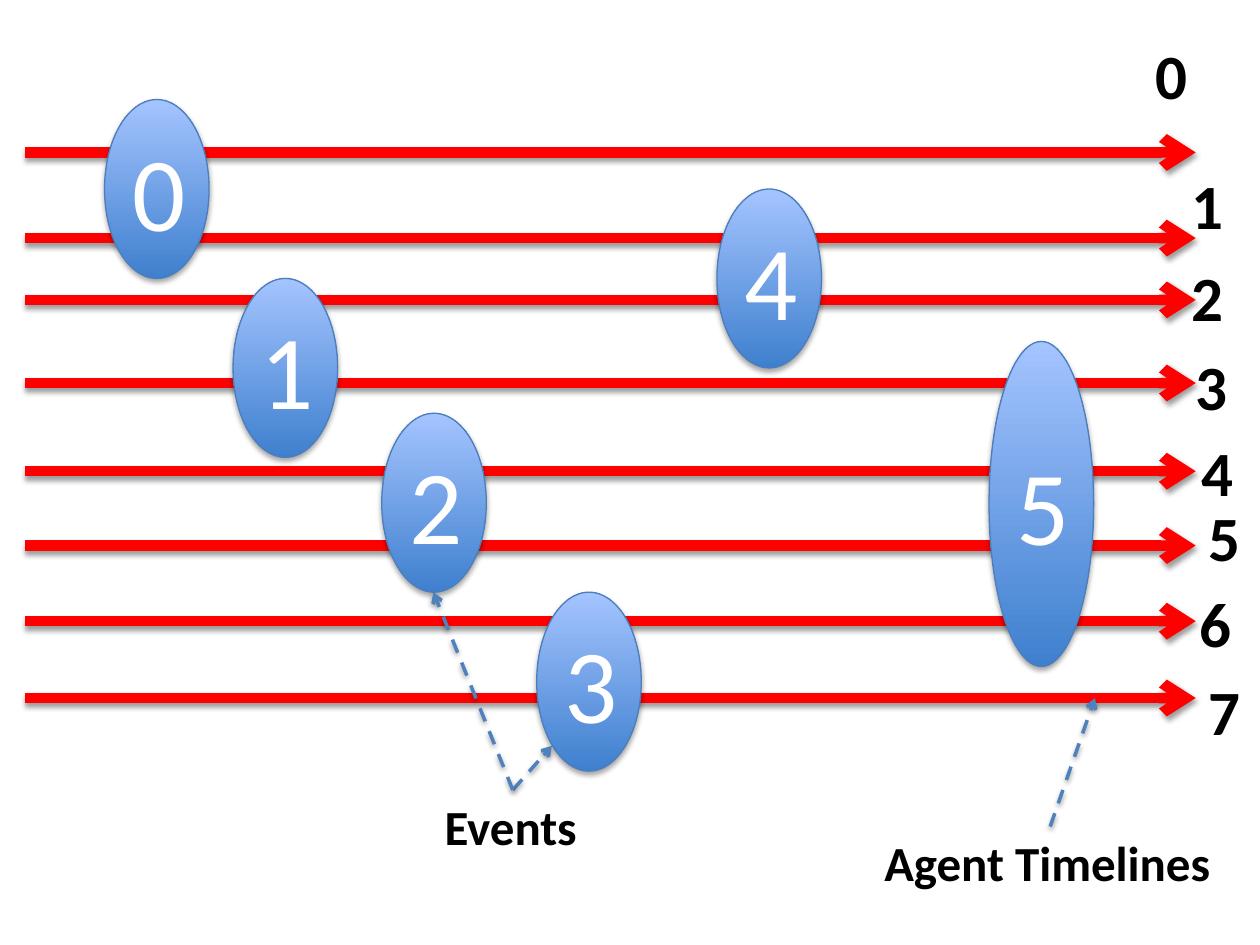
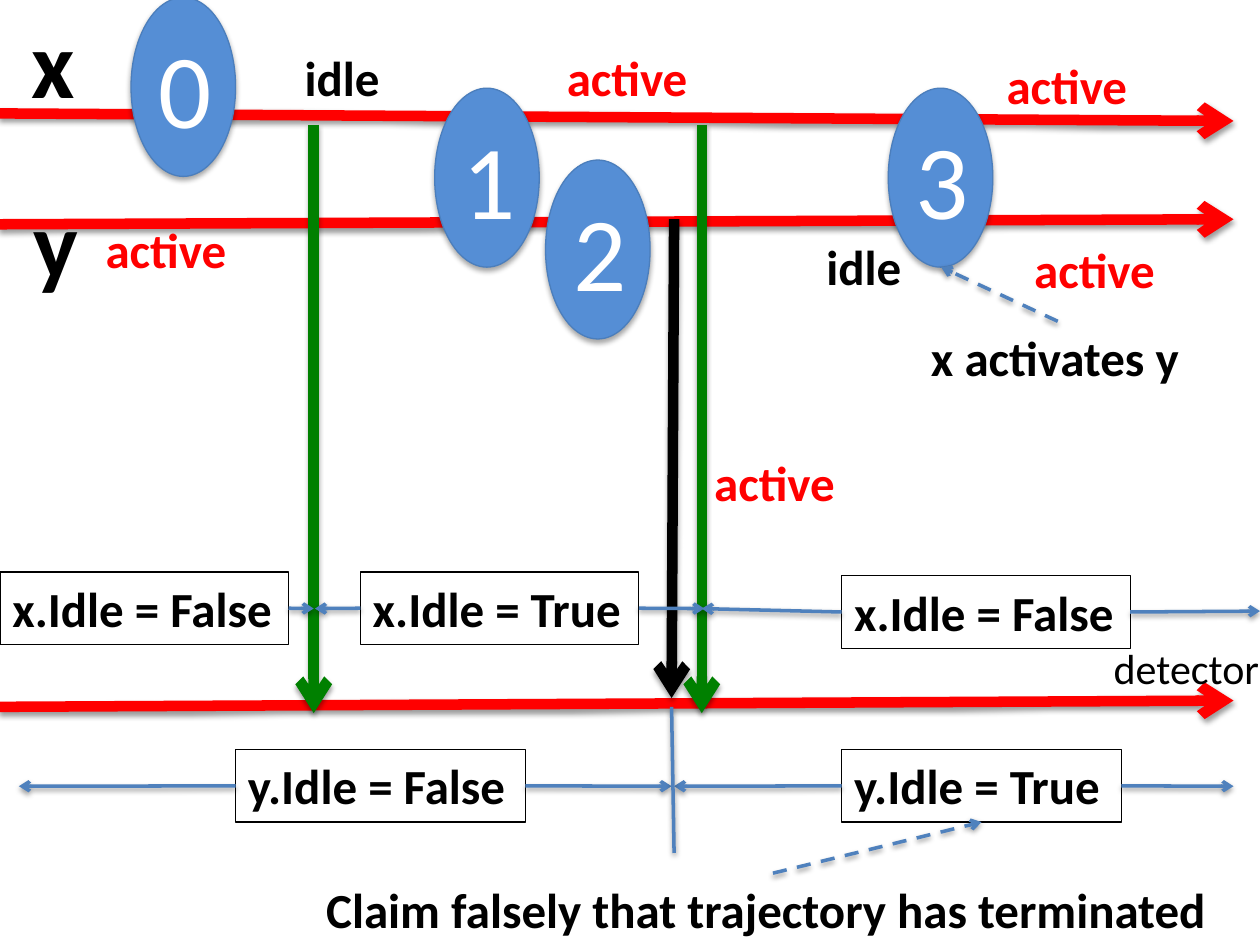
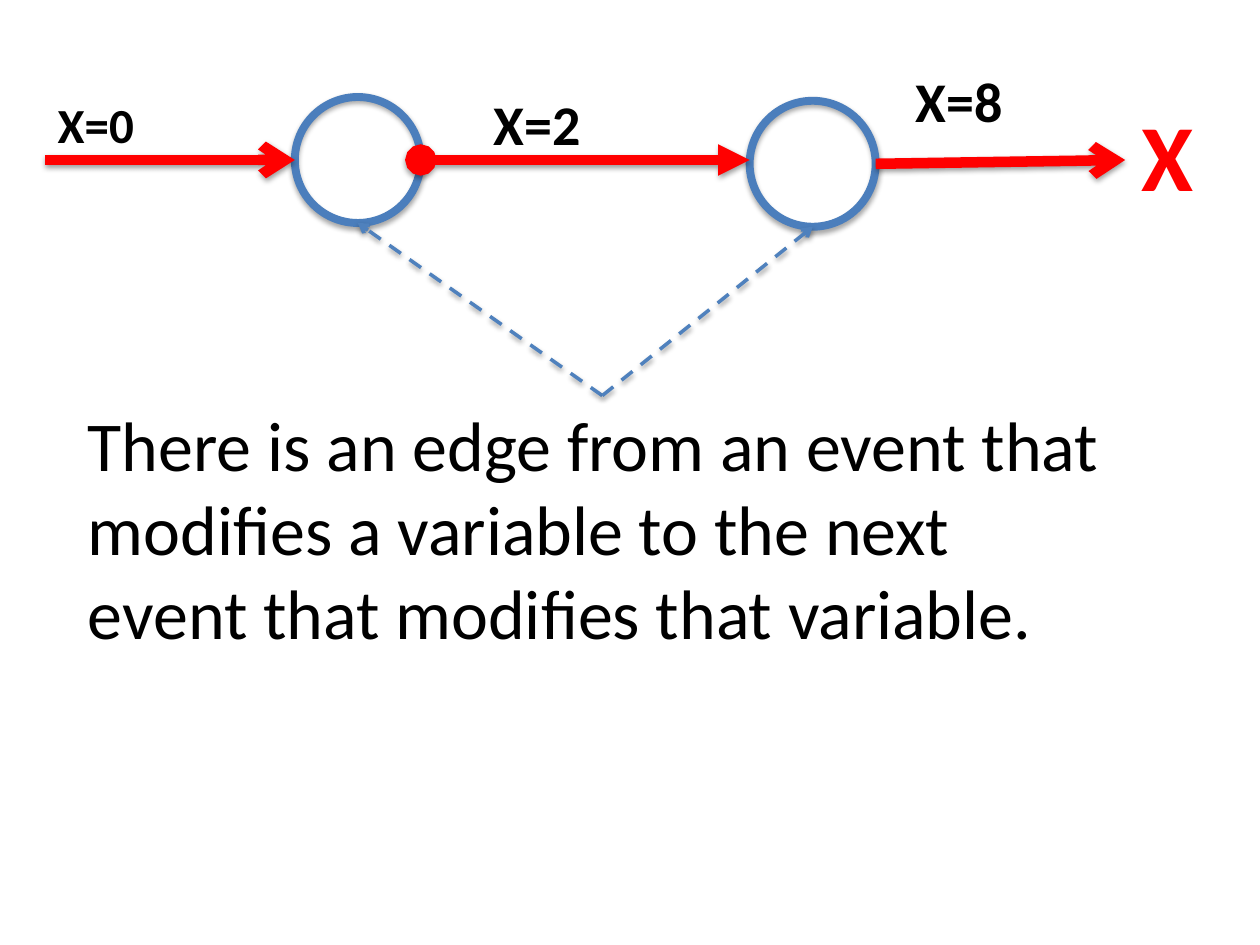
from lxml import etree
from pptx import Presentation
from pptx.dml.color import RGBColor
from pptx.enum import dml, shapes, text
from pptx.oxml.ns import qn
from pptx.util import Inches, Pt

HUE = {"red": "FF0000", "black": "000000", "green": "008000", "white": "FFFFFF",
       "blue": "4F81BD", "rim": "4B7EBC", "flat": "558ED5",
       "deep": "3F80CE", "pale": "A4C4FF"}
FONT = "Calibri"
TOP, LEFT, BOTTOM, RIGHT = range(4)


def rgb(name):
    return RGBColor.from_string(HUE[name])


def shade(item, alpha, dist):
    """Add a soft shadow that falls straight down."""
    fx = etree.SubElement(item.element.spPr, qn("a:effectLst"))
    cast = etree.SubElement(fx, qn("a:outerShdw"), blurRad=str(Pt(3.1)),
                            dist=str(Pt(dist)), dir="5400000", rotWithShape="0")
    tint = etree.SubElement(cast, qn("a:srgbClr"), val=HUE["black"])
    etree.SubElement(tint, qn("a:alpha"), val=str(alpha * 1000))


class Deck:
    def __init__(self):
        self.prs = Presentation()
        self.prs.slide_width, self.prs.slide_height = Inches(10), Inches(7.5)
        self.slide = None

    def page(self):
        self.slide = self.prs.slides.add_slide(self.prs.slide_layouts[6])

    def put(self, frame, words, size, hue, bold):
        run = frame.paragraphs[0].add_run()
        run.text = words
        run.font.name, run.font.size, run.font.bold = FONT, Pt(size), bold
        run.font.color.rgb = rgb(hue)

    def label(self, words, x, y, wide, size=28, hue="black", bold=True, high=None):
        """Add a text box one line high; a given height makes it wrap."""
        tall = high or size * 1.22 / 72 + 0.1
        box = self.slide.shapes.add_textbox(*map(Inches, (x, y, wide, tall)))
        box.text_frame.word_wrap = high is not None
        box.text_frame.auto_size = text.MSO_AUTO_SIZE.SHAPE_TO_FIT_TEXT
        self.put(box.text_frame, words, size, hue, bold)
        return box

    def framed(self, words, x, y, wide):
        box = self.label(words, x, y, wide)
        box.line.color.rgb, box.line.width = rgb("black"), Pt(0.75)
        return box

    def oval(self, x, y, wide=0.83, high=1.42, fill=None, rim=0.75, words=""):
        """Add an event; fill is a colour, a (bottom, top) pair or None."""
        item = self.slide.shapes.add_shape(
            shapes.MSO_SHAPE.OVAL, *map(Inches, (x, y, wide, high)))
        if fill is None:
            item.fill.background()
        elif isinstance(fill, tuple):
            item.fill.gradient()
            item.fill.gradient_angle = 90
            for stop, hue in zip(item.fill.gradient_stops, fill):
                stop.color.rgb = rgb(hue)
        else:
            item.fill.solid()
            item.fill.fore_color.rgb = rgb(fill)
        item.line.color.rgb, item.line.width = rgb("rim"), Pt(rim)
        shade(item, 35, 1.8)
        if words:
            frame = item.text_frame
            frame.vertical_anchor = text.MSO_ANCHOR.MIDDLE
            frame.paragraphs[0].alignment = text.PP_ALIGN.CENTER
            self.put(frame, words, 60, "white", False)

    def line(self, start, end, hue="blue", wide=2, dash=False, head=None, tail="arrow"):
        """Draw a connector; each end is (x, y) or (box, side)."""
        ends = [(0, 0) if hasattr(e[0], "shape_id") else e for e in (start, end)]
        item = self.slide.shapes.add_connector(
            shapes.MSO_CONNECTOR.STRAIGHT, *(Inches(v) for e in ends for v in e))
        if ends[0] is not start:
            item.begin_connect(*start)
        if ends[1] is not end:
            item.end_connect(*end)
        item.line.color.rgb, item.line.width = rgb(hue), Pt(wide)
        if dash:
            item.line.dash_style = dml.MSO_LINE.DASH
        ln = item.element.spPr.find(qn("a:ln"))
        for tag, kind in (("a:headEnd", head), ("a:tailEnd", tail)):
            if kind:
                etree.SubElement(ln, qn(tag), type=kind)
        shade(item, 38, 1.6)

    def bold(self, start, end, hue="red", **more):
        self.line(start, end, hue, 6, **more)

    def hint(self, start, end):
        self.line(start, end, dash=True)


def agents(deck):
    deck.page()
    for y in (1.21, 1.89, 2.38, 3.04, 3.74, 4.33, 4.93, 5.54):
        deck.bold((0.2, y), (9.49, y))
    spots = [(0.83, 0.79), (1.85, 2.21), (3.03, 3.28), (4.26, 4.7),
             (5.69, 1.5), (7.85, 2.71, 0.83, 2.58)]
    for i, spot in enumerate(spots):
        deck.oval(*spot, fill=("deep", "pale"), words=str(i))
    marks = [(9.07, 0.24), (9.36, 1.27), (9.36, 2), (9.39, 2.71),
             (9.44, 3.39), (9.49, 3.91), (9.42, 4.59), (9.49, 5.29)]
    for i, (x, y) in enumerate(marks):
        deck.label(str(i), x, y, 0.46, 36)
    lines = deck.label("Agent Timelines", 6.92, 6.56, 2.83)
    deck.hint((lines, TOP), (8.69, 5.54))
    events = deck.label("Events", 3.43, 6.27, 1.28)
    for tip in ((4.38, 5.92), (3.44, 4.7)):
        deck.hint((events, TOP), tip)


def detector(deck):
    deck.page()
    for left, right in ((1.78, 1.74), (0.9, 0.96), (5.61, 5.56)):
        deck.bold((9.79, right), (0, left), head="arrow", tail=None)
    for i, (x, y) in enumerate([(1.04, -0.02), (3.45, 0.7), (4.33, 1.27), (7.05, 0.7)]):
        deck.oval(x, y, fill="flat", words=str(i))
    for x, y in ((2.32, 0.33), (6.46, 1.83)):
        deck.label("idle", x, y, 0.8)
    for x, y in ((0.74, 1.69), (5.57, 3.54), (4.4, 0.33), (7.89, 0.39), (8.11, 1.85)):
        deck.label("active", x, y, 1.17, hue="red")
    deck.label("x", 0.15, -0.02, 0.55, 54)
    deck.label("y", 0.17, 1.41, 0.56, 54)
    wakes = deck.label("x activates y", 7.29, 2.55, 2.21)
    deck.hint((wakes, TOP), (7.47, 2.12))

    deck.bold((5.35, 1.74), (5.33, 5.54), "black")
    for x in (2.49, 5.57):
        deck.bold((x, 0.99), (x, 5.66), "green")

    # Each state box with the tips of its left and right arrows
    spans = [("x.Idle = False", 0, 4.54, 2.29, None, (2.49, 4.83)),
             ("x.Idle = True", 2.86, 4.54, 2.21, (2.5, 4.83), (5.59, 4.83)),
             ("x.Idle = False", 6.68, 4.57, 2.29, (5.57, 4.83), (10, 4.85)),
             ("y.Idle = False", 1.87, 5.95, 2.3, (0.15, 6.24), (5.33, 6.24)),
             ("y.Idle = True", 6.68, 5.95, 2.22, (5.35, 6.24), (9.79, 6.24))]
    for words, x, y, wide, left, right in spans:
        box = deck.framed(words, x, y, wide)
        if left:
            deck.line((box, LEFT), left)
        deck.line((box, RIGHT), right)
    deck.line((5.33, 5.61), (5.35, 6.77), tail=None)
    claim = deck.label("Claim falsely that trajectory has terminated", 2.49, 6.93, 7.29)
    deck.hint((claim, TOP), (box, BOTTOM))
    deck.label("detector", 8.74, 5.05, 1.38, 24, bold=False)


def edges(deck):
    deck.page()
    for x, y in ((2.34, 0.77), (5.95, 0.8)):
        deck.oval(x, y, 1, 1, rim=4.5)
    deck.bold((3.34, 1.27), (5.95, 1.27), head="oval", tail="triangle")
    deck.bold((0.36, 1.27), (2.34, 1.27))
    deck.bold((6.95, 1.3), (8.93, 1.27))
    deck.label("X", 8.96, 0.72, 0.62, 54, "red")
    deck.label("X=0", 0.36, 0.7, 0.81)
    deck.label("X=2", 3.82, 0.66, 0.9, 32)
    deck.label("X=8", 7.17, 0.48, 0.9, 32)
    rule = deck.label("There is an edge from an event that modifies a variable to the "
                      "next event that modifies that variable.",
                      0.6, 3.14, 8.36, 40, bold=False, high=2.12)
    for tip in ((2.84, 1.77), (6.45, 1.8)):
        deck.hint((rule, TOP), tip)


def main():
    deck = Deck()
    for build in (agents, detector, edges):
        build(deck)
    deck.prs.save("out.pptx")


if __name__ == "__main__":
    main()
